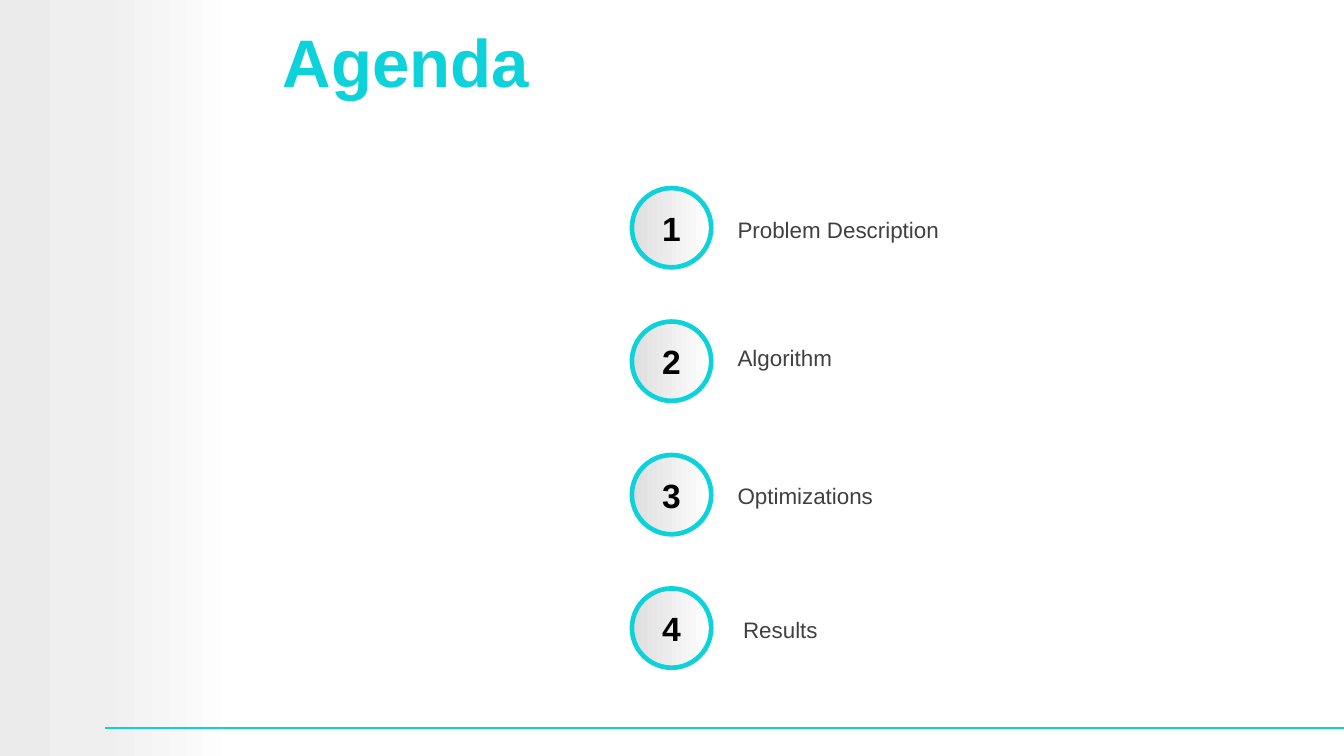
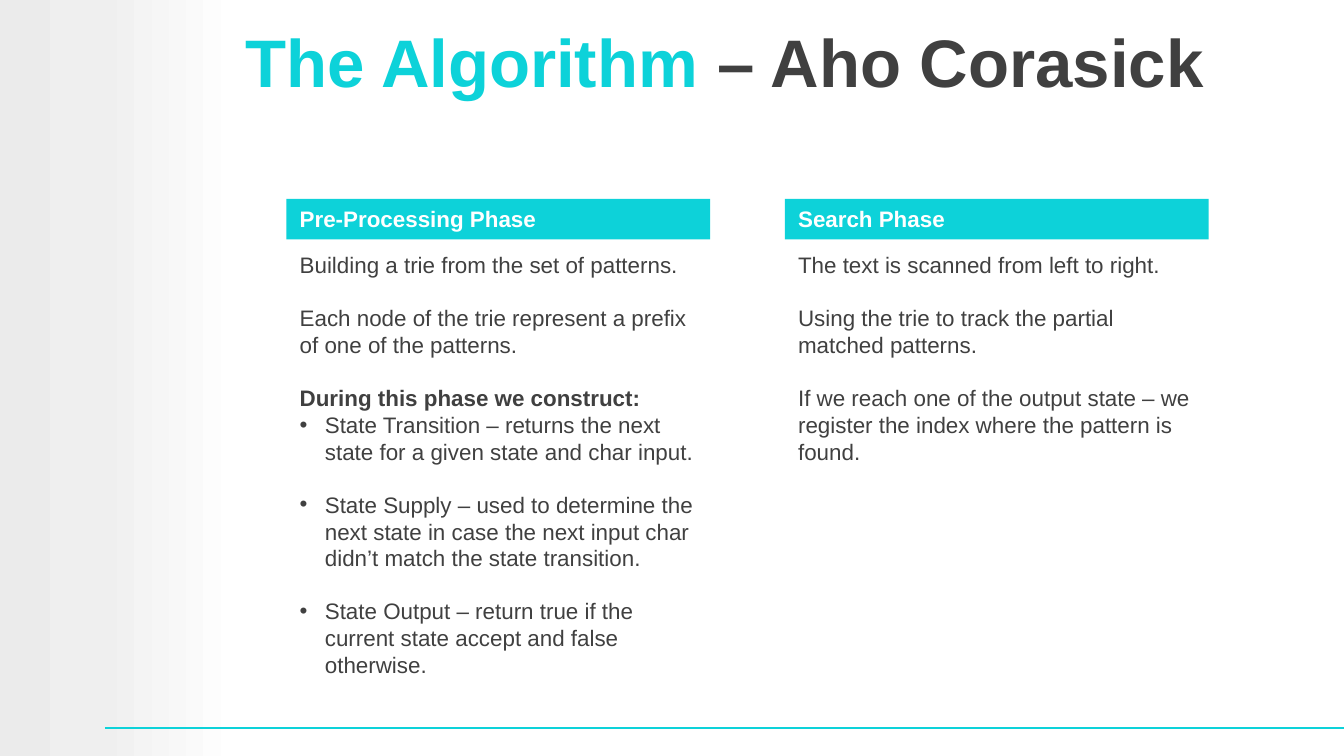
from dataclasses import dataclass

from lxml.etree import SubElement
from pptx import Presentation
from pptx.dml.color import RGBColor
from pptx.enum.shapes import MSO_CONNECTOR, MSO_SHAPE
from pptx.enum.text import MSO_ANCHOR, MSO_AUTO_SIZE, PP_ALIGN
from pptx.oxml.ns import qn
from pptx.util import Pt


@dataclass(frozen=True)
class Theme:
    font: str = "Arial"
    accent: str = "0DD2D9"
    ink: str = "404040"
    number: str = "000000"
    paper: str = "FFFFFF"
    side_fade: tuple = ((0, "EBEBEB"), (42, "EFEFEF"), (100, "FFFFFF"))
    badge_fade: tuple = ((0, "DEDEDE"), (100, "FFFFFF"))
    title_size: int = 36
    number_size: int = 18
    body_size: int = 12
    paragraph_gap: int = 14
    bullet_indent: float = 13.5


@dataclass(frozen=True)
class Box:
    left: float
    top: float
    width: float
    height: float

    def inside(self, left, top, width, height):
        return Box(self.left + left, self.top + top, width, height)

    def lengths(self):
        return [Pt(n) for n in (self.left, self.top, self.width, self.height)]


THEME = Theme()
PAGE = Box(0, 0, 720, 405)
TITLE = Box(124.5, 2, 595.5, 61)

AGENDA = [
    ("Problem Description", 0, 11.5),
    ("Algorithm", 0, 8.5),
    ("Optimizations", 0, 10.75),
    ("Results", 3, 11.5),
]

PHASES = [
    ("Pre-Processing Phase", 254, [
        ("Building a trie from the set of patterns.", ""),
        ("Each node of the trie represent a prefix of one of the patterns.", "gap"),
        ("During this phase we construct:", "gap bold"),
        ("State Transition – returns the next state for a given state and char input.",
         "bullet"),
        ("State Supply – used to determine the next state in case the next input char "
         "didn’t match the state transition.", "gap bullet"),
        ("State Output – return true if the current state accept and false otherwise.",
         "gap bullet"),
    ]),
    ("Search Phase", 124, [
        ("The text is scanned from left to right.", ""),
        ("Using the trie to track the partial", "gap"),
        ("matched patterns.", ""),
        ("If we reach one of the output state – we register the index where the pattern "
         "is found.", "gap"),
    ]),
]


def set_formats(target, formats):
    for attribute, value in formats.items():
        setattr(target, attribute, value)


def write(paragraph, words, color, size=THEME.body_size, bold=False):
    run = paragraph.add_run()
    run.text = words
    set_formats(run.font, {"name": THEME.font, "size": Pt(size), "bold": bold})
    run.font.color.rgb = RGBColor.from_string(color)


def open_frame(holder, anchor=MSO_ANCHOR.TOP, grow=True):
    fit = MSO_AUTO_SIZE.SHAPE_TO_FIT_TEXT if grow else MSO_AUTO_SIZE.NONE
    set_formats(holder.text_frame, {
        "word_wrap": True, "auto_size": fit, "vertical_anchor": anchor})
    return holder.text_frame


def indent(paragraph, left, first=0):
    properties = paragraph._p.get_or_add_pPr()
    properties.set("marL", str(Pt(left)))
    properties.set("indent", str(Pt(first)))
    return properties


def add_plain(shapes, kind, box):
    plain = shapes.add_shape(kind, *box.lengths())
    plain.shadow.inherit = False
    plain.line.fill.background()
    return plain


def fade(plain, stops):
    plain.fill.gradient()
    plain.fill.gradient_angle = 0
    stop_list = plain._element.spPr.find(qn("a:gradFill")).find(qn("a:gsLst"))
    for default in list(stop_list):
        stop_list.remove(default)
    for percent, color in stops:
        stop = SubElement(stop_list, qn("a:gs"), pos=str(percent * 1000))
        SubElement(stop, qn("a:srgbClr"), val=color)


def add_backdrop(slide, page):
    slide.background.fill.solid()
    slide.background.fill.fore_color.rgb = RGBColor.from_string(THEME.paper)
    side = add_plain(slide.shapes, MSO_SHAPE.RECTANGLE, page.inside(0, 0, 127.5, page.height))
    fade(side, THEME.side_fade)
    rule_top = Pt(page.top + 390)
    footer_rule = slide.shapes.add_connector(
        MSO_CONNECTOR.STRAIGHT, Pt(page.left + 56.25), rule_top,
        Pt(page.left + page.width), rule_top)
    footer_rule.line.width = Pt(1)
    footer_rule.line.color.rgb = RGBColor.from_string(THEME.accent)
    SubElement(footer_rule._element.spPr, qn("a:effectLst"))


def add_title(slide, box, parts, left_indent=0):
    title = slide.shapes.add_textbox(*box.lengths())
    heading = open_frame(title, MSO_ANCHOR.MIDDLE, grow=False).paragraphs[0]
    indent(heading, left_indent)
    for words, color in parts:
        write(heading, words, color, THEME.title_size, True)


def add_badge(slide, box, number):
    badge = slide.shapes.add_group_shape().shapes
    ring = add_plain(badge, MSO_SHAPE.OVAL, box)
    fade(ring, THEME.badge_fade)
    ring.line.width = Pt(2.5)
    ring.line.color.rgb = RGBColor.from_string(THEME.accent)
    digit = badge.add_textbox(*box.inside(7.25, 6.75, 28, 29).lengths())
    count = open_frame(digit, MSO_ANCHOR.MIDDLE).paragraphs[0]
    count.alignment = PP_ALIGN.CENTER
    write(count, str(number), THEME.number, THEME.number_size, True)


def add_agenda(slide, box):
    pitch = 71.5
    for index, (topic, shift, drop) in enumerate(AGENDA):
        row = box.inside(0, index * pitch, 42.5, 42.5)
        add_badge(slide, row, index + 1)
        label = slide.shapes.add_textbox(*row.inside(49.5 + shift, drop, 276, 21.75).lengths())
        write(open_frame(label).paragraphs[0], topic, THEME.ink)


def add_phase(slide, box, name, body_height, points):
    phase = slide.shapes.add_group_shape().shapes
    body = phase.add_textbox(*box.inside(0, 24.5, box.width, body_height).lengths())
    frame = open_frame(body)
    for index, (words, style) in enumerate(points):
        point = frame.add_paragraph() if index else frame.paragraphs[0]
        if "gap" in style:
            point.space_before = Pt(THEME.paragraph_gap)
        if "bullet" in style:
            properties = indent(point, THEME.bullet_indent, -THEME.bullet_indent)
            SubElement(properties, qn("a:buFont"), typeface=THEME.font)
            SubElement(properties, qn("a:buChar"), char="•")
        write(point, words, THEME.ink, bold="bold" in style)
    header = add_plain(phase, MSO_SHAPE.RECTANGLE, box.inside(0, 0, box.width, 21.75))
    header.fill.solid()
    header.fill.fore_color.rgb = RGBColor.from_string(THEME.accent)
    caption = open_frame(header).paragraphs[0]
    caption.alignment = PP_ALIGN.LEFT
    write(caption, name, THEME.paper, bold=True)


def add_phases(slide, box):
    width, pitch = 227, 267
    for index, (name, body_height, points) in enumerate(PHASES):
        column = box.inside(index * pitch, 0, width, box.height)
        add_phase(slide, column, name, body_height, points)


def build_agenda_slide(slide):
    add_backdrop(slide, PAGE)
    add_title(slide, TITLE, [("Agenda", THEME.accent)], left_indent=20)
    add_agenda(slide, PAGE.inside(338.5, 100.75, 326, 257))


def build_algorithm_slide(slide):
    add_backdrop(slide, PAGE)
    add_title(slide, TITLE, [("The Algorithm ", THEME.accent), ("– Aho Corasick", THEME.ink)])
    add_phases(slide, PAGE.inside(153.5, 106.5, 494, 278.5))


def main():
    deck = Presentation()
    set_formats(deck, {"slide_width": Pt(PAGE.width), "slide_height": Pt(PAGE.height)})
    for build in (build_agenda_slide, build_algorithm_slide):
        build(deck.slides.add_slide(deck.slide_layouts[6]))
    deck.save("out.pptx")


if __name__ == "__main__":
    main()
